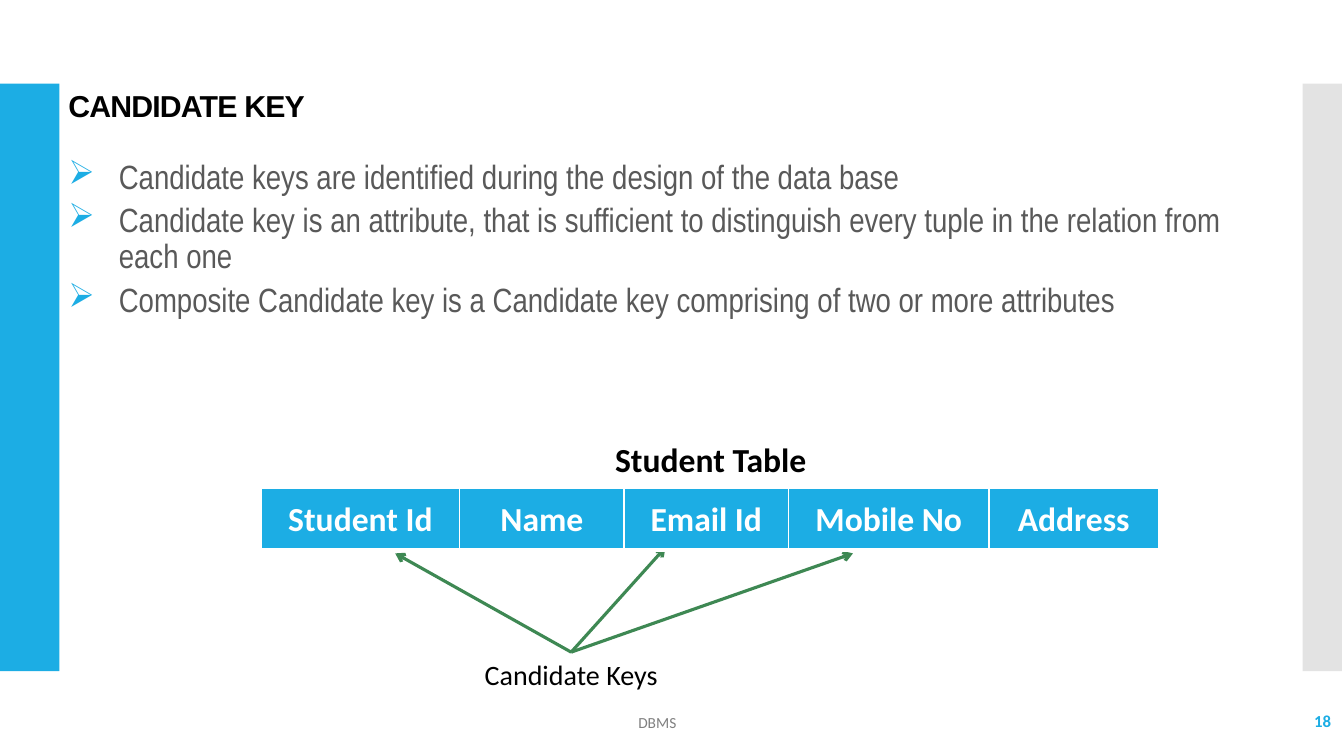
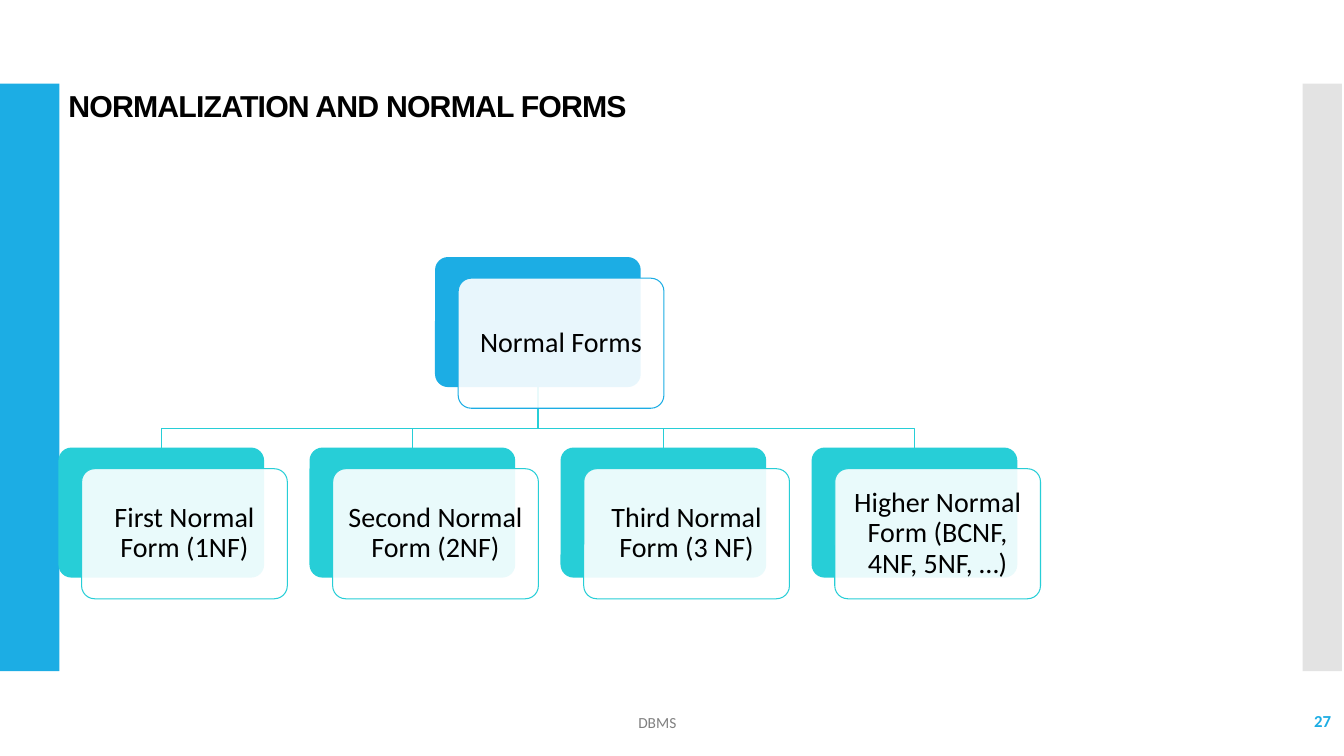
from lxml import etree
from pptx import Presentation
from pptx.dml.color import RGBColor
from pptx.enum.shapes import MSO_CONNECTOR, MSO_SHAPE
from pptx.enum.text import MSO_ANCHOR, PP_ALIGN
from pptx.oxml.ns import qn
from pptx.util import Inches, Pt

LEFT, CENTER, RIGHT = PP_ALIGN.LEFT, PP_ALIGN.CENTER, PP_ALIGN.RIGHT
TOP, MIDDLE = MSO_ANCHOR.TOP, MSO_ANCHOR.MIDDLE
RECT, ROUND = MSO_SHAPE.RECTANGLE, MSO_SHAPE.ROUNDED_RECTANGLE
STRAIGHT = MSO_CONNECTOR.STRAIGHT

BLUE = RGBColor(0x1C, 0xAD, 0xE4)
TEAL = RGBColor(0x27, 0xCE, 0xD7)
GREEN = RGBColor(0x3E, 0x88, 0x53)
BLACK = RGBColor(0, 0, 0)
WHITE = RGBColor(0xFF, 0xFF, 0xFF)
SILVER = RGBColor(0xC8, 0xC8, 0xC8)
DARK = RGBColor(0x59, 0x59, 0x59)
GREY = RGBColor(0x80, 0x80, 0x80)

FOOTER = "DBMS"
KEY_PAGE = {
    "title": "CANDIDATE KEY",
    "number": "18",
    "points": [
        "Candidate keys are identified during the design of the data base",
        "Candidate key is an attribute, that is sufficient to distinguish "
        "every tuple in the relation from each one",
        "Composite Candidate key is a Candidate key comprising of two or "
        "more attributes",
    ],
    "table": "Student Table",
    "columns": [("Student Id", 1.97), ("Name", 1.63), ("Email Id", 1.63),
                ("Mobile No", 1.99), ("Address", 1.68)],
    "label": "Candidate Keys",
    "tips": [(3.92, 5.49), (6.6, 5.43), (8.46, 5.49)],
}
FORM_PAGE = {
    "title": "NORMALIZATION AND NORMAL FORMS",
    "number": "27",
    "root": "Normal Forms",
    "forms": ["First Normal Form (1NF)", "Second Normal Form (2NF)",
              "Third Normal Form (3 NF)",
              "Higher Normal Form (BCNF, 4NF, 5NF, …)"],
}

CARD_W, CARD_H = 2.04, 1.29
STEP, EDGE = 2.49, 0.58
ROOT_Y, FORM_Y, BUS_Y = 2.55, 4.44, 4.25
SHIFT_X, SHIFT_Y = 0.23, 0.21


def inches(*sizes):
    return [Inches(size) for size in sizes]


def add_run(par, text, size, color, font="Calibri", bold=False):
    run = par.add_run()
    run.text = text
    run.font.size, run.font.name, run.font.bold = Pt(size), font, bold
    run.font.color.rgb = color
    return run


def add_text(slide, box, text, size, color, align=CENTER, anchor=TOP, **style):
    shape = slide.shapes.add_textbox(*inches(*box))
    frame = shape.text_frame
    frame.word_wrap, frame.vertical_anchor = True, anchor
    par = frame.paragraphs[0]
    par.alignment = align
    run = add_run(par, text, size, color, **style)
    return shape, par, run


def add_block(slide, kind, box, fill, line=None, alpha=None):
    """Add a flat shape; alpha is the fill's opacity in percent."""
    shape = slide.shapes.add_shape(kind, *inches(*box))
    shape.shadow.inherit = False
    shape.fill.solid()
    shape.fill.fore_color.rgb = fill
    if alpha:
        color = shape._element.spPr.find(qn("a:solidFill"))[0]
        etree.SubElement(color, qn("a:alpha"), val=str(alpha * 1000))
    if line is None:
        shape.line.fill.background()
    else:
        shape.line.color.rgb, shape.line.width = line, Pt(0.75)
    return shape


def add_page(deck, page):
    """Add a slide with the side bands, title, footer and page number."""
    slide = deck.slides.add_slide(deck.slide_layouts[6])
    add_block(slide, RECT, (0, 0.83, 0.59, 5.83), BLUE)
    add_block(slide, RECT, (12.92, 0.83, 0.39, 5.83), SILVER, alpha=50)
    _, par, run = add_text(slide, (EDGE, 0.86, 10.44, 0.4), page["title"],
                           21.6, BLACK, LEFT, font="Arial", bold=True)
    par.line_spacing = 0.9
    run.font._element.set("spc", "-60")
    add_text(slide, (11.63, 6.95, 1.67, 0.4), page["number"], 12, BLUE,
             RIGHT, MIDDLE, bold=True)
    add_text(slide, (3.29, 6.97, 6.46, 0.4), FOOTER, 11, GREY, anchor=MIDDLE)
    return slide


def add_points(slide, points):
    frame = slide.shapes.add_textbox(*inches(EDGE, 1.54, 11.62, 2.2)).text_frame
    frame.word_wrap = True
    for i, text in enumerate(points):
        par = frame.add_paragraph() if i else frame.paragraphs[0]
        props = par._p.get_or_add_pPr()
        props.set("marL", str(Inches(0.5)))
        props.set("indent", str(Inches(-0.5)))
        tint = etree.SubElement(props, qn("a:buClr"))
        etree.SubElement(tint, qn("a:srgbClr"), val=str(BLUE))
        etree.SubElement(props, qn("a:buChar"), char="➢")
        par.line_spacing = 0.9
        if i:
            par.space_before = Pt(5)
        add_run(par, text, 24, DARK, font="Arial Narrow")


def add_arrow(slide, source, tip):
    """Draw an arrow from the middle of the source's top side to the tip."""
    arrow = slide.shapes.add_connector(STRAIGHT, 0, 0, *inches(*tip))
    arrow.begin_connect(source, 0)
    arrow.line.color.rgb, arrow.line.width = GREEN, Pt(2.25)
    etree.SubElement(arrow.line._get_or_add_ln(), qn("a:tailEnd"), type="arrow")
    etree.SubElement(arrow._element.spPr, qn("a:effectLst"))


def add_header(slide, columns):
    width = sum(size for _, size in columns)
    table = slide.shapes.add_table(
        1, len(columns), *inches(2.59, 4.85, width, 0.61)).table
    table.first_row = table.horz_banding = False
    for i, (name, size) in enumerate(columns):
        table.columns[i].width = Inches(size)
        cell = table.cell(0, i)
        cell.margin_left = cell.margin_right = Inches(0.14)
        cell.vertical_anchor = MIDDLE
        props = cell._tc.get_or_add_tcPr()
        for side, points in zip("LRTB", (1, 1, 1, 3)):
            edge = etree.SubElement(props, qn("a:ln" + side), w=str(Pt(points)))
            fill = etree.SubElement(edge, qn("a:solidFill"))
            etree.SubElement(fill, qn("a:srgbClr"), val=str(WHITE))
        cell.fill.solid()
        cell.fill.fore_color.rgb = BLUE
        par = cell.text_frame.paragraphs[0]
        par.alignment = CENTER
        add_run(par, name, 24, WHITE, bold=True)


def add_card(slide, x, y, text, color):
    """Draw a solid card with a pale, shifted card holding the text."""
    back = add_block(slide, ROUND, (x, y, CARD_W, CARD_H), color)
    front = add_block(slide, ROUND, (x + SHIFT_X, y + SHIFT_Y, CARD_W, CARD_H),
                      WHITE, color, 90)
    back.adjustments[0] = front.adjustments[0] = 0.1
    frame = front.text_frame
    frame.word_wrap, frame.vertical_anchor = True, MIDDLE
    frame.margin_left = frame.margin_right = Inches(0.08)
    frame.margin_top = frame.margin_bottom = Inches(0.08)
    par = frame.paragraphs[0]
    par.alignment, par.line_spacing = CENTER, 0.9
    add_run(par, text, 20, BLACK)


def add_branch(slide, start, end):
    path = [start, (start[0], BUS_Y), (end[0], BUS_Y), end]
    first, *rest = [inches(*point) for point in path]
    pen = slide.shapes.build_freeform(*first)
    pen.add_line_segments(rest, close=False)
    branch = pen.convert_to_shape()
    branch.shadow.inherit = False
    branch.fill.background()
    branch.line.color.rgb, branch.line.width = TEAL, Pt(0.85)


def build_keys(deck, page):
    slide = add_page(deck, page)
    add_points(slide, page["points"])
    label, _, _ = add_text(slide, (4.5, 6.47, 2.33, 0.5), page["label"], 20, BLACK)
    for tip in page["tips"]:
        add_arrow(slide, label, tip)
    add_header(slide, page["columns"])
    add_text(slide, (5.81, 4.3, 2.48, 0.52), page["table"], 24, BLACK, bold=True)


def build_forms(deck, page):
    slide = add_page(deck, page)
    lefts = [EDGE + i * STEP for i in range(len(page["forms"]))]
    root = (lefts[0] + lefts[-1]) / 2
    half = CARD_W / 2
    for x in reversed(lefts):
        add_branch(slide, (root + half, ROOT_Y + CARD_H), (x + half, FORM_Y))
    add_card(slide, root, ROOT_Y, page["root"], BLUE)
    for x, text in zip(lefts, page["forms"]):
        add_card(slide, x, FORM_Y, text, TEAL)


def main():
    deck = Presentation()
    deck.slide_width, deck.slide_height = inches(13.33, 7.5)
    build_keys(deck, KEY_PAGE)
    build_forms(deck, FORM_PAGE)
    deck.save("out.pptx")


if __name__ == "__main__":
    main()
